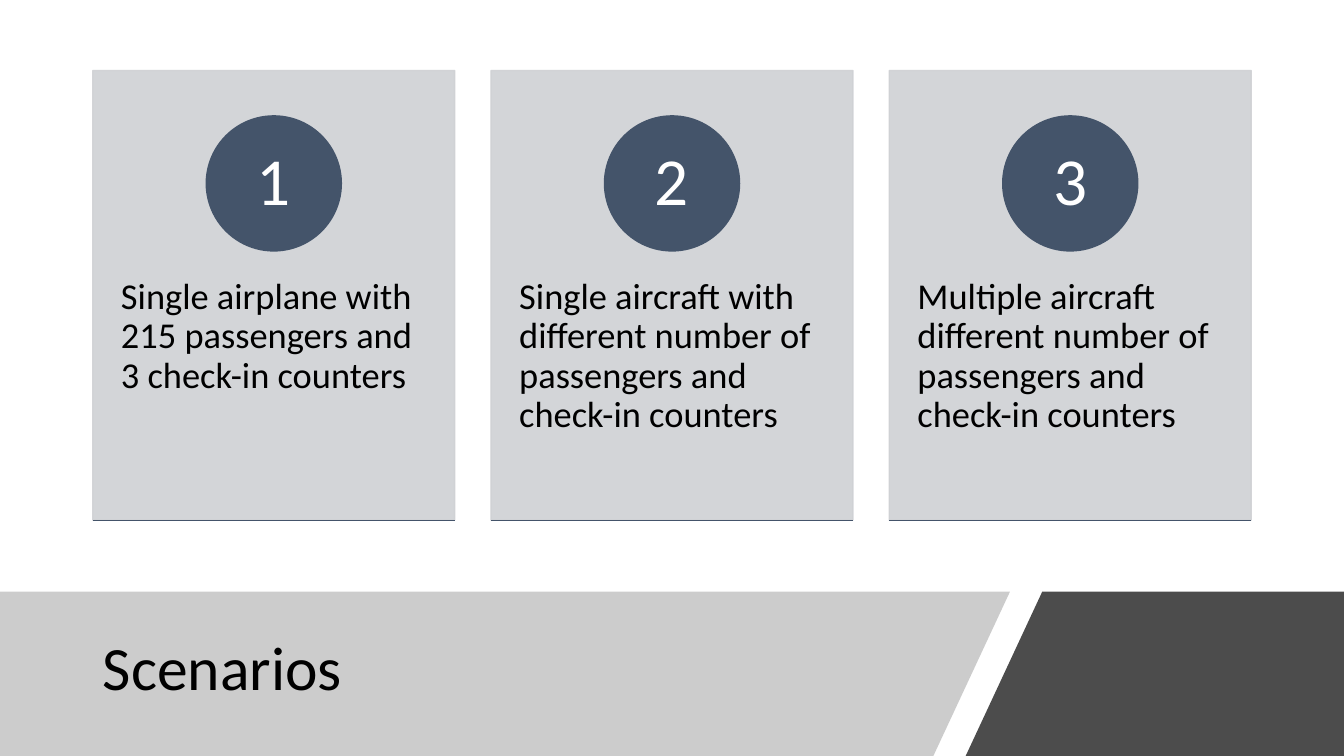
from dataclasses import dataclass

from lxml.etree import SubElement
from pptx import Presentation
from pptx.dml.color import RGBColor as Rgb
from pptx.enum.shapes import MSO_CONNECTOR as Link, MSO_SHAPE as Form
from pptx.enum.text import MSO_ANCHOR as Anchor, MSO_AUTO_SIZE as Fit, PP_ALIGN as Align
from pptx.oxml.ns import qn
from pptx.util import Inches, Pt


@dataclass(frozen=True)
class Theme:
    font: str = "Calibri"
    ink: str = "000000"
    white: str = "FFFFFF"
    gray: str = "808080"
    panel: str = "CFD1D4"
    navy: str = "44546A"
    head: int = 44
    digit: int = 48
    body: int = 26


@dataclass(frozen=True)
class Band:
    """Corners as percent of the slide's width, for top and bottom edges."""
    top: tuple[float, float]
    base: tuple[float, float]
    color: str
    alpha: int


@dataclass(frozen=True)
class Grid:
    """Percent of the slide's width (wide, gap, disc) or height (the rest)."""
    wide: float = 26.93
    gap: float = 2.7
    disc: float = 10.05
    top: float = 9.33
    tall: float = 59.47
    ring: float = 15.33
    text: float = 32
    room: float = 35.73
    rule: float = 68.87
    band: float = 78.27


THEME, GRID = Theme(), Grid()
WIDE, TALL = Inches(13.33), Inches(7.5)
BANDS = [
    Band((0, 75.15), (0, 69.45), THEME.gray, 40),
    Band((77.55, 100), (71.85, 100), THEME.ink, 70),
]
CARDS = [
    "Single airplane with 215 passengers and 3 check-in counters",
    "Single aircraft with different number of passengers and check-in counters",
    "Multiple aircraft different number of passengers and check-in counters",
]
LEFT = (100 - len(CARDS) * GRID.wide - (len(CARDS) - 1) * GRID.gap) / 2


def px(share: float) -> int:
    return round(WIDE * share / 100)


def py(share: float) -> int:
    return round(TALL * share / 100)


def tint(fill, color: str, alpha: int = 100) -> None:
    fill.solid()
    fill.fore_color.rgb = Rgb.from_string(color)
    if alpha < 100:
        node = fill._xPr.find(qn("a:solidFill"))[0]
        SubElement(node, qn("a:alpha"), val=str(alpha * 1000))


def paint(shape, color: str, alpha: int = 100, edge: bool = True) -> None:
    shape.shadow.inherit = False
    tint(shape.fill, color, alpha)
    if edge:
        shape.line.width = Pt(1)
        tint(shape.line.fill, color, alpha)
    else:
        shape.line.fill.background()


def write(shape, text: str, *, size: int, color: str = THEME.ink, align=Align.LEFT,
          anchor=Anchor.TOP, pad: tuple[float, float] = (0.1, 0.05)) -> None:
    frame = shape.text_frame
    frame.word_wrap = True
    frame.auto_size = Fit.NONE
    frame.vertical_anchor = anchor
    frame.margin_left = frame.margin_right = Inches(pad[0])
    frame.margin_top = frame.margin_bottom = Inches(pad[1])
    para = frame.paragraphs[0]
    para.alignment = align
    para.line_spacing = 0.9
    run = para.add_run()
    run.text = text
    run.font.name = THEME.font
    run.font.size = Pt(size)
    run.font.color.rgb = Rgb.from_string(color)


def draw_band(slide, band: Band) -> None:
    top, base = py(GRID.band), TALL
    path = slide.shapes.build_freeform(px(band.top[0]), top)
    path.add_line_segments([(px(band.top[1]), top), (px(band.base[1]), base),
                            (px(band.base[0]), base)], close=True)
    paint(path.convert_to_shape(), band.color, band.alpha, edge=False)


def draw_card(slide, index: int, text: str) -> None:
    shapes = slide.shapes
    start = LEFT + index * (GRID.wide + GRID.gap)
    left, wide, disc = px(start), px(GRID.wide), px(GRID.disc)

    # Panel and its text
    panel = shapes.add_shape(Form.RECTANGLE, left, py(GRID.top), wide, py(GRID.tall))
    paint(panel, THEME.panel, 90)
    label = shapes.add_textbox(left, py(GRID.text), wide, py(GRID.room))
    write(label, text, size=THEME.body, pad=(0.28, 0.36))

    # Numbered disc
    ring = shapes.add_shape(Form.OVAL, left + (wide - disc) // 2, py(GRID.ring), disc, disc)
    paint(ring, THEME.navy)
    write(ring, str(index + 1), size=THEME.digit, color=THEME.white,
          align=Align.CENTER, anchor=Anchor.MIDDLE, pad=(0.1, 0.01))

    # Rule along the foot
    rule = shapes.add_connector(Link.STRAIGHT, left, py(GRID.rule), left + wide, py(GRID.rule))
    rule.line.width = Pt(1)
    tint(rule.line.fill, THEME.navy)
    SubElement(rule._element.spPr, qn("a:effectLst"))


def main() -> None:
    deck = Presentation()
    deck.slide_width, deck.slide_height = WIDE, TALL
    slide = deck.slides.add_slide(deck.slide_layouts[5])

    # Bottom bands, with the title in front
    for band in BANDS:
        draw_band(slide, band)
    title = slide.shapes.title
    title.left, title.top = px(LEFT), py(80.67)
    title.width, title.height = px(63.3), py(16)
    write(title, "Scenarios", size=THEME.head, anchor=Anchor.MIDDLE)
    slide.shapes._spTree.append(title._element)

    # Scenario cards
    for index, text in enumerate(CARDS):
        draw_card(slide, index, text)

    deck.save("out.pptx")


if __name__ == "__main__":
    main()
